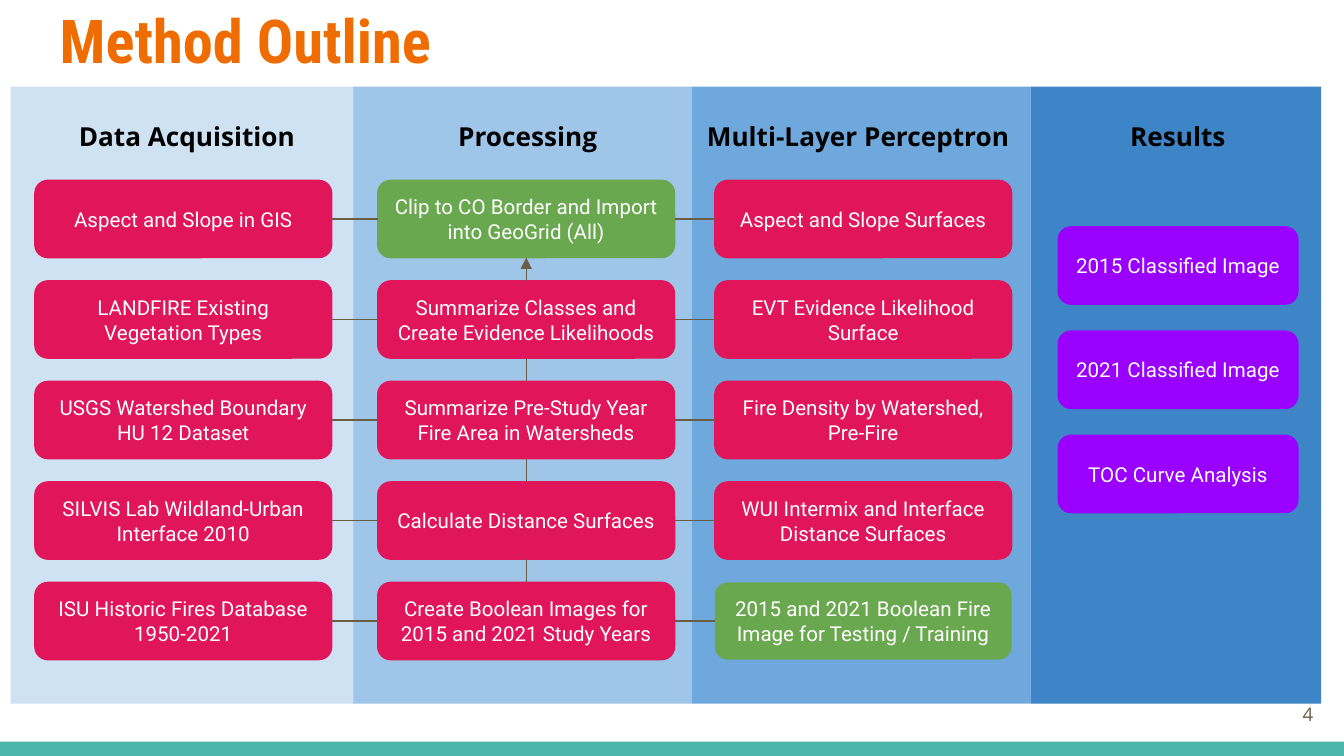
from itertools import pairwise

from lxml.etree import SubElement
from pptx import Presentation
from pptx.dml.color import RGBColor
from pptx.enum.shapes import MSO_CONNECTOR, MSO_SHAPE
from pptx.enum.text import MSO_ANCHOR, PP_ALIGN
from pptx.oxml.ns import qn
from pptx.util import Cm, Pt

COLORS = {
    "title": "EF6C00", "heading": "000000", "label": "FFFFFF", "line": "695D46",
    "step": "E1165A", "shared": "6AA84F", "result": "9900FF", "footer": "4DB6AC",
}
PANELS = [
    (0.2, 6.5, "CFE2F3"), (6.68, 6.4, "9FC5E8"),
    (13.08, 6.4, "6FA8DC"), (19.48, 5.49, "3D85C6"),
]
HEADINGS = [
    ("Data Acquisition", 1.24, 4.67), ("Processing", 8.41, 3.71),
    ("Multi-Layer Perceptron", 13.11, 6.4), ("Results", 21.11, 3.1),
]
COLUMNS = [
    (0.66, ["Aspect and Slope in GIS", "LANDFIRE Existing Vegetation Types",
            "USGS Watershed Boundary HU 12 Dataset",
            "SILVIS Lab Wildland-Urban Interface 2010",
            "ISU Historic Fires Database 1950-2021"]),
    (7.14, ["Clip to CO Border and Import into GeoGrid (All)",
            "Summarize Classes and Create Evidence Likelihoods",
            "Summarize Pre-Study Year Fire Area in Watersheds",
            "Calculate Distance Surfaces",
            "Create Boolean Images for 2015 and 2021 Study Years"]),
    (13.51, ["Aspect and Slope Surfaces", "EVT Evidence Likelihood Surface",
             "Fire Density by Watershed, Pre-Fire",
             "WUI Intermix and Interface Distance Surfaces",
             "2015 and 2021 Boolean Fire Image for Testing / Training"]),
]
SHARED = {(1, 0), (2, 4)}
RESULTS = ["2015 Classified Image", "2021 Classified Image", "TOC Curve Analysis"]


def put_text(sp, text, size=11, font="Roboto", color="label", bold=False,
             align=PP_ALIGN.CENTER, anchor=MSO_ANCHOR.MIDDLE):
    tf = sp.text_frame
    tf.word_wrap = True
    tf.vertical_anchor = anchor
    tf.margin_left = tf.margin_right = tf.margin_top = tf.margin_bottom = Cm(0.25)
    p = tf.paragraphs[0]
    p.alignment = align
    r = p.add_run()
    r.text = text
    r.font.size = Pt(size)
    r.font.name = font
    r.font.bold = bold
    r.font.color.rgb = RGBColor.from_string(COLORS[color])


class Deck:
    """Holds the presentation, its current slide and the drawing style."""

    def __init__(self, width, height):
        self.prs = Presentation()
        self.prs.slide_width, self.prs.slide_height = Cm(width), Cm(height)
        self.s = self.prs.slides.add_slide(self.prs.slide_layouts[6])

    def shape(self, kind, x, y, w, h, fill):
        sp = self.s.shapes.add_shape(kind, Cm(x), Cm(y), Cm(w), Cm(h))
        sp.shadow.inherit = False
        sp.fill.solid()
        sp.fill.fore_color.rgb = RGBColor.from_string(fill)
        sp.line.fill.background()
        return sp

    def panel(self, x, y, w, h, fill):
        return self.shape(MSO_SHAPE.RECTANGLE, x, y, w, h, fill)

    def box(self, text, x, y, w, kind, outlined=True):
        sp = self.shape(MSO_SHAPE.ROUNDED_RECTANGLE, x, y, w, 1.46, COLORS[kind])
        if outlined:
            sp.line.color.rgb = RGBColor.from_string(COLORS[kind])
            sp.line.width = Pt(0.75)
        put_text(sp, text)
        return sp

    def text(self, text, x, y, w, h, **style):
        sp = self.s.shapes.add_textbox(Cm(x), Cm(y), Cm(w), Cm(h))
        put_text(sp, text, **style)

    def link(self, start, start_site, end, end_site, arrow=False):
        line = self.s.shapes.add_connector(MSO_CONNECTOR.STRAIGHT, 0, 0, 0, 0)
        line.begin_connect(start, start_site)
        line.end_connect(end, end_site)
        line.line.color.rgb = RGBColor.from_string(COLORS["line"])
        line.line.width = Pt(0.75)
        if arrow:
            SubElement(line.line._get_or_add_ln(), qn("a:tailEnd"), type="triangle")
        SubElement(line._element.spPr, qn("a:effectLst"))


def main():
    deck = Deck(25.4, 14.29)
    deck.panel(0, 14.02, 25.4, 0.27, COLORS["footer"])
    for x, w, fill in PANELS:
        deck.panel(x, 1.64, w, 11.66, fill)

    deck.text("Method Outline", 0.88, -0.2, 23.67, 1.96, size=32.4,
              font="Roboto Condensed", color="title", bold=True,
              align=PP_ALIGN.LEFT, anchor=MSO_ANCHOR.TOP)
    for heading, x, w in HEADINGS:
        deck.text(heading, x, 2.03, w, 1.12, size=14, font="Open Sans",
                  color="heading", bold=True, align=PP_ALIGN.LEFT,
                  anchor=MSO_ANCHOR.TOP)

    grid = []
    for col, (x, labels) in enumerate(COLUMNS):
        grid.append([
            deck.box(label, x, 3.41 + 1.9 * row, 5.61,
                     "shared" if (col, row) in SHARED else "step",
                     outlined=(col, row) != (2, 4))
            for row, label in enumerate(labels)
        ])
    for i, label in enumerate(RESULTS):
        deck.box(label, 20, 4.29 + 1.97 * i, 4.53, "result")

    for left_column, right_column in pairwise(grid):
        for left, right in zip(left_column, right_column):
            deck.link(left, 3, right, 1)
    processing = grid[1]
    for upper, lower in pairwise(processing):
        deck.link(lower, 0, upper, 2, arrow=upper is processing[0])

    deck.text("4", 23.55, 12.95, 1.52, 1.09, size=10, font="Open Sans",
              color="line", align=PP_ALIGN.RIGHT)
    deck.prs.save("out.pptx")


if __name__ == "__main__":
    main()
